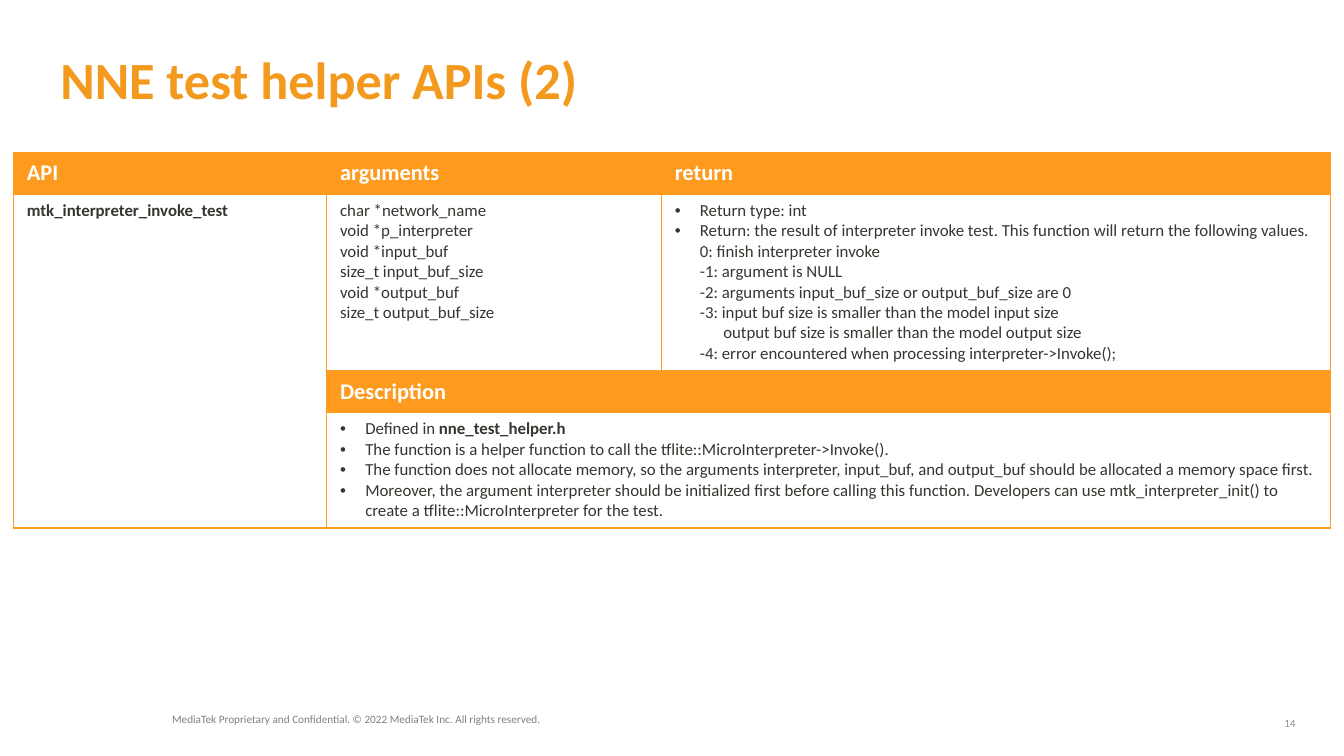
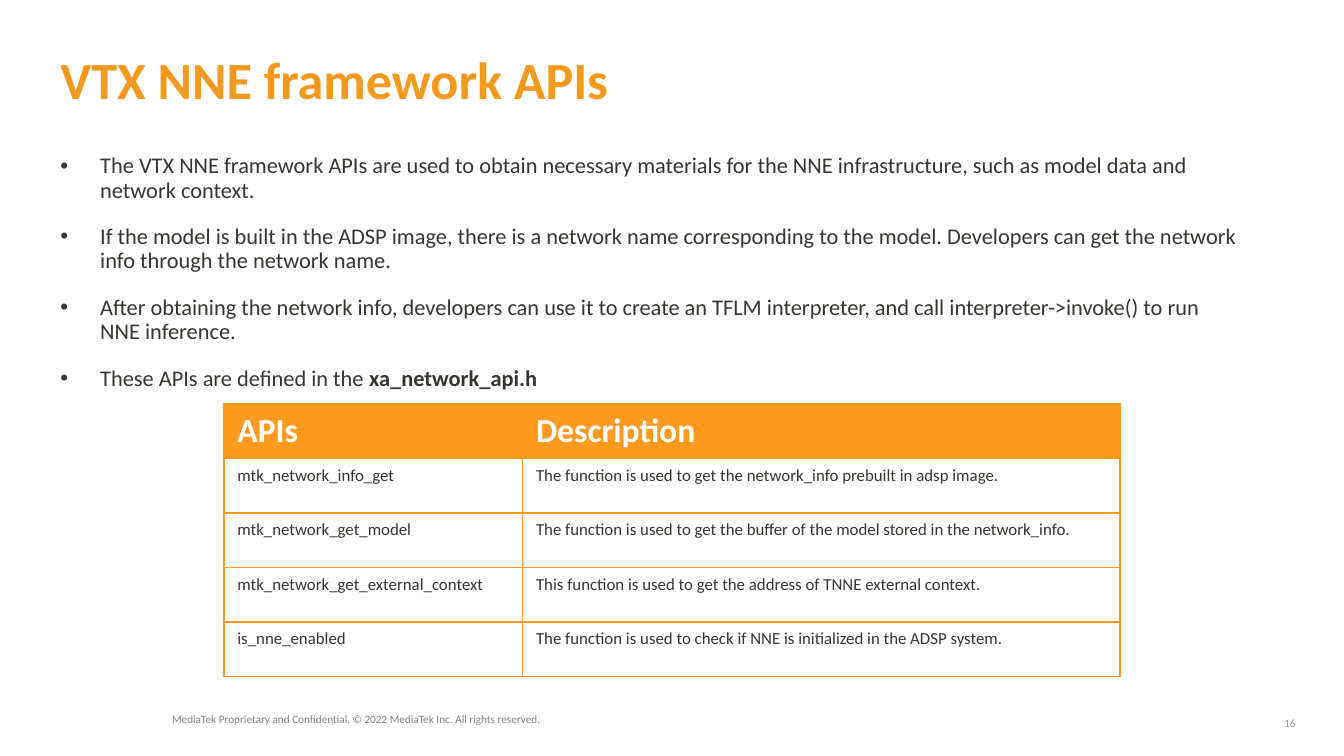
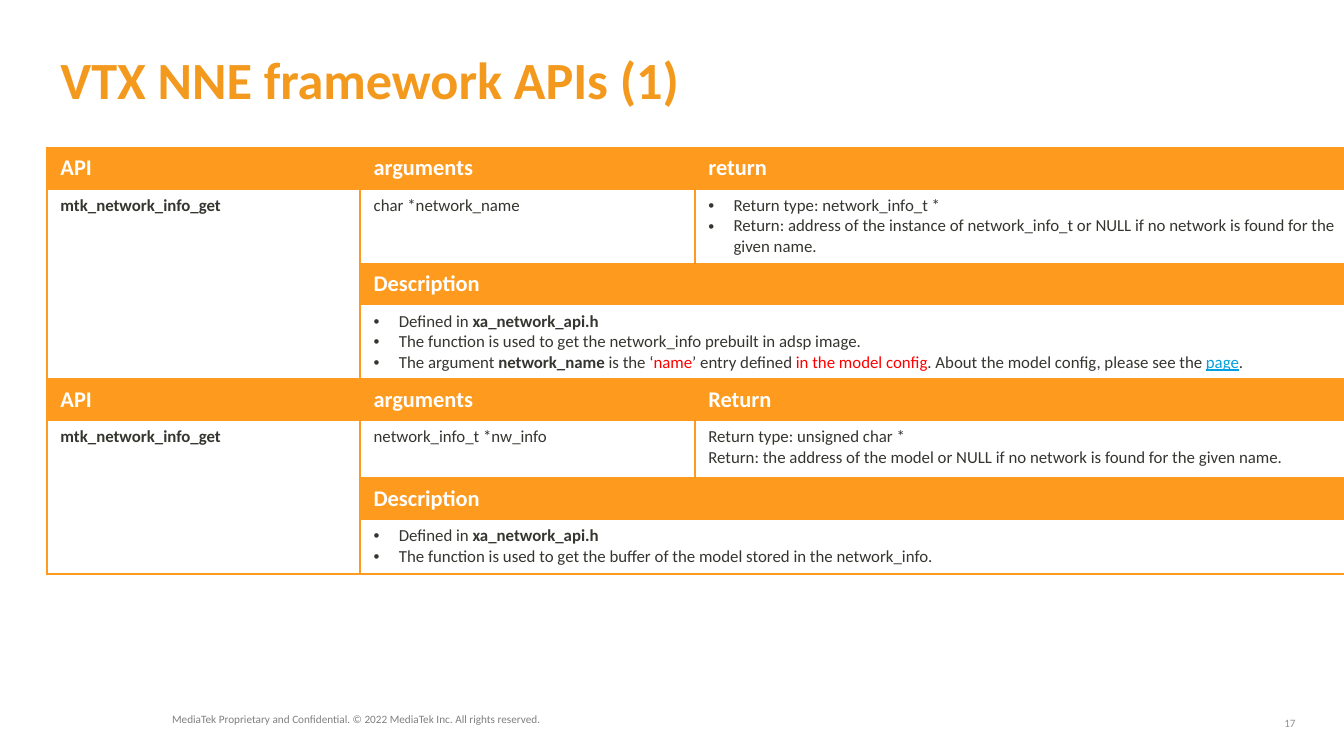
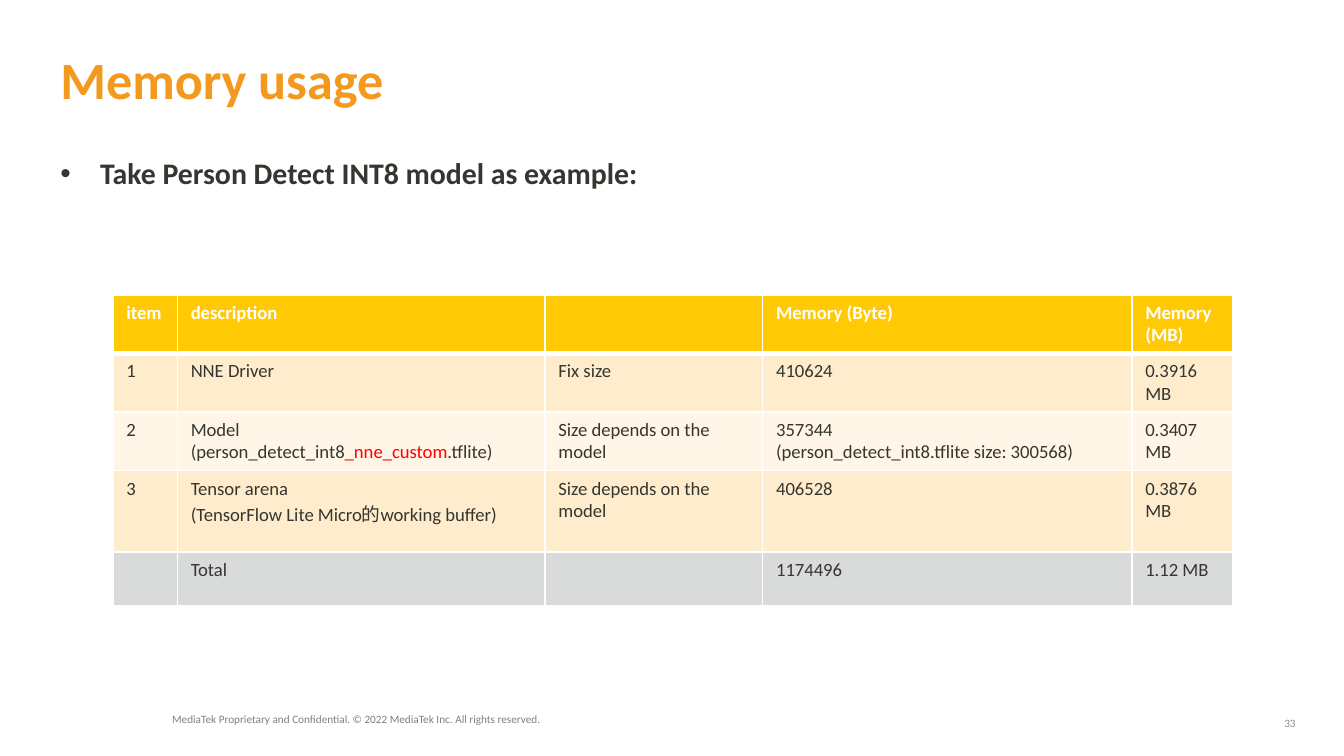
import lxml.etree
import pptx
import pptx.dml.color
import pptx.enum.text
import pptx.oxml.ns
import pptx.util

Pt = pptx.util.Pt
rgb = pptx.dml.color.RGBColor.from_string
qn = pptx.oxml.ns.qn
ALIGN = pptx.enum.text.PP_ALIGN
ANCHOR = pptx.enum.text.MSO_ANCHOR

# Shared look
FONT = "Calibri"
ORANGE, TITLE_ORANGE, YELLOW = "FE9B1E", "F39A1E", "FFCA05"
TEXT, WHITE, RED, LINK = "353630", "FFFFFF", "FF0000", "00A1DE"
PEACH, CREAM, GREY = "FFECCC", "FFF6E7", "D9DBDB"
FOOTER_GREY, NUMBER_GREY = "808080", "90918F"
FOOTER = "MediaTek Proprietary and Confidential. © 2022 MediaTek Inc. All rights reserved."

# Row style: fill, text size, text colour, bold
HEADING = (ORANGE, 12, WHITE, True)
DETAIL = (None, 9, TEXT, False)


def write(frame, lines, size, color, bold=False, indent=13.5, gap=0, spacing=None):
    """Fill a frame; a line is a string or a list of (text, style) runs.

    A leading "• " makes a bullet, "> " a line aligned with the bullet text and
    ">> " a line set in further.
    """
    for number, line in enumerate(lines):
        runs = [(line, "")] if isinstance(line, str) else line
        paragraph = frame.paragraphs[0] if number == 0 else frame.add_paragraph()
        mark, _, rest = runs[0][0].partition(" ")
        if mark in ("•", ">", ">>"):
            runs = [(rest, runs[0][1])] + runs[1:]
            properties = paragraph._p.get_or_add_pPr()
            properties.set("marL", str(Pt(indent + (12.5 if mark == ">>" else 0))))
            properties.set("indent", str(Pt(-indent if mark == "•" else 0)))
            if mark == "•":
                lxml.etree.SubElement(properties, qn("a:buFont"), typeface="Arial")
                lxml.etree.SubElement(properties, qn("a:buChar"), char="•")
        paragraph.space_before = Pt(gap if number else 0)
        if spacing:
            paragraph.line_spacing = spacing
        for text, style in runs:
            run = paragraph.add_run()
            run.text = text
            run.font.name = FONT
            run.font.size = Pt(size)
            run.font.bold = bold or style == "bold"
            run.font.color.rgb = rgb({"red": RED, "link": LINK}.get(style, color))
            if style == "link":
                run.font.underline = True


def draw_table(slide, left, top, widths, heights, styles, rows, border, merges=()):
    """Draw a table whose rows hold strings or lists of lines."""
    table = slide.shapes.add_table(len(rows), len(widths), Pt(left), Pt(top),
                                   Pt(sum(widths)), Pt(sum(heights))).table
    table.first_row = table.horz_banding = False
    for column, width in zip(table.columns, widths):
        column.width = Pt(width)
    for row, height in zip(table.rows, heights):
        row.height = Pt(height)
    for first_row, first_column, last_row, last_column in merges:
        table.cell(first_row, first_column).merge(table.cell(last_row, last_column))
    for r, (row, (fill, size, color, bold)) in enumerate(zip(rows, styles)):
        for c in range(len(widths)):
            cell = table.cell(r, c)
            properties = cell._tc.get_or_add_tcPr()
            for side in ("L", "R", "T", "B"):
                heavy = fill == YELLOW and side == "B"
                line = lxml.etree.SubElement(properties, qn("a:ln" + side),
                                             w=str(Pt(3 if heavy else 1)))
                solid = lxml.etree.SubElement(line, qn("a:solidFill"))
                lxml.etree.SubElement(solid, qn("a:srgbClr"), val=border)
            if fill and not cell.is_spanned:
                cell.fill.solid()
                cell.fill.fore_color.rgb = rgb(fill)
            else:
                cell.fill.background()
            content = row[c] if c < len(row) else ""
            if content:
                lines = [content] if isinstance(content, str) else content
                write(cell.text_frame, lines, size, color, bold)


deck = pptx.Presentation()
deck.slide_width, deck.slide_height = Pt(720), Pt(405)

# Titles, lists and footers: title, page number, list, list top, list size
pages = [
    ("NNE test helper APIs (2)", "14", None, 0, 0),
    ("VTX NNE framework APIs", "16", [
        "• The VTX NNE framework APIs are used to obtain necessary materials for the NNE "
        "infrastructure, such as model data and network context.",
        "• If the model is built in the ADSP image, there is a network name corresponding to "
        "the model. Developers can get the network info through the network name.",
        "• After obtaining the network info, developers can use it to create an TFLM "
        "interpreter, and call interpreter->invoke() to run NNE inference.",
        [("• These APIs are defined in the ", ""), ("xa_network_api.h", "bold")],
    ], 79.2, 12),
    ("VTX NNE framework APIs (1)", "17", None, 0, 0),
    ("Memory usage", "33", [
        [("• Take Person Detect INT8 model as example:", "bold")],
    ], 81.4, 16),
]
slides = []
for heading, page_number, points, points_top, points_size in pages:
    slide = deck.slides.add_slide(deck.slide_layouts[1 if points else 5])
    slides.append(slide)

    title = slide.shapes.title
    title.left, title.top, title.width, title.height = Pt(25.2), Pt(13.7), Pt(647.3), Pt(56.9)
    title.text_frame.auto_size = pptx.enum.text.MSO_AUTO_SIZE.NONE
    title.text_frame.vertical_anchor = ANCHOR.MIDDLE
    write(title.text_frame, [heading], 28, TITLE_ORANGE, bold=True)
    title.text_frame.paragraphs[0].alignment = ALIGN.LEFT

    if points:
        body = slide.placeholders[1]
        body.left, body.top, body.width, body.height = (
            Pt(25.2), Pt(points_top), Pt(647.3), Pt(291.6))
        body.text_frame.auto_size = pptx.enum.text.MSO_AUTO_SIZE.NONE
        write(body.text_frame, points, points_size, TEXT, indent=21.3, gap=12, spacing=0.9)

    for text, left, top, width, height, color, align, anchor in [
        (FOOTER, 92.2, 382.3, 403.9, 14.4, FOOTER_GREY, ALIGN.LEFT, ANCHOR.TOP),
        (page_number, 672.5, 383, 21.6, 8.6, NUMBER_GREY, ALIGN.RIGHT, ANCHOR.MIDDLE),
    ]:
        frame = slide.shapes.add_textbox(Pt(left), Pt(top), Pt(width), Pt(height)).text_frame
        frame.margin_left = frame.margin_top = frame.margin_right = frame.margin_bottom = 0
        frame.word_wrap = True
        frame.vertical_anchor = anchor
        write(frame, [text], 6, color, spacing=0.9 if text == FOOTER else None)
        frame.paragraphs[0].alignment = align

test_helper, framework, network_info, memory = slides

# One API takes four rows: heading, signature, heading, description
API_WIDTHS = [167.8, 179.3, 358.6]
API_STYLES = [HEADING, DETAIL, HEADING, DETAIL]
API_MERGES = [(1, 0, 3, 0), (2, 1, 2, 2), (3, 1, 3, 2)]

# Test helper API
draw_table(test_helper, 7.2, 81.8, API_WIDTHS, [22, 95, 22, 62], API_STYLES, [
    ["API", "arguments", "return"],
    [
        [[("mtk_interpreter_invoke_test", "bold")]],
        ["char *network_name", "void *p_interpreter", "void *input_buf",
         "size_t input_buf_size", "void *output_buf", "size_t output_buf_size"],
        ["• Return type: int",
         "• Return: the result of interpreter invoke test. This function will return the "
         "following values.",
         "> 0: finish interpreter invoke",
         "> -1: argument is NULL",
         "> -2: arguments input_buf_size or output_buf_size are 0",
         "> -3: input buf size is smaller than the model input size",
         ">> output buf size is smaller than the model output size",
         "> -4: error encountered when processing interpreter->Invoke();"],
    ],
    ["", "Description"],
    ["", [
        [("• Defined in ", ""), ("nne_test_helper.h", "bold")],
        "• The function is a helper function to call the tflite::MicroInterpreter->Invoke().",
        "• The function does not allocate memory, so the arguments interpreter, input_buf, and "
        "output_buf should be allocated a memory space first.",
        "• Moreover, the argument interpreter should be initialized first before calling this "
        "function. Developers can use mtk_interpreter_init() to create a "
        "tflite::MicroInterpreter for the test.",
    ]],
], ORANGE, API_MERGES)

# Framework API overview
draw_table(framework, 120, 216.5, [160, 320], [29.2] * 5,
           [(ORANGE, 18, WHITE, True)] + [DETAIL] * 4, [
    ["APIs", "Description"],
    ["mtk_network_info_get",
     "The function is used to get the network_info prebuilt in adsp image."],
    ["mtk_network_get_model",
     "The function is used to get the buffer of the model stored in the network_info."],
    ["mtk_network_get_external_context",
     "This function is used to get the address of TNNE external context."],
    ["is_nne_enabled",
     "The function is used to check if NNE is initialized in the ADSP system."],
], ORANGE)

# Network info APIs
defined_in = [("• Defined in ", ""), ("xa_network_api.h", "bold")]
api_name = [[("mtk_network_info_get", "bold")]]
second_merges = [(top + 4, left, bottom + 4, right) for top, left, bottom, right in API_MERGES]
draw_table(network_info, 25.2, 79.2, API_WIDTHS, [22, 40, 22, 40, 22, 31, 22, 29.5],
           API_STYLES * 2, [
    ["API", "arguments", "return"],
    [api_name, "char *network_name", [
        "• Return type: network_info_t *",
        "• Return: address of the instance of network_info_t or NULL if no network is found "
        "for the given name.",
    ]],
    ["", "Description"],
    ["", [
        defined_in,
        "• The function is used to get the network_info prebuilt in adsp image.",
        [("• The argument ", ""), ("network_name ", "bold"), ("is the ‘", ""), ("name", "red"),
         ("’ entry defined ", ""), ("in the model config", "red"),
         (". About the model config, please see the ", ""), ("page", "link"), (".", "")],
    ]],
    ["API", "arguments", "Return"],
    [api_name, "network_info_t *nw_info", [
        "Return type: unsigned char *",
        "Return: the address of the model or NULL if no network is found for the given name.",
    ]],
    ["", "Description"],
    ["", [
        defined_in,
        "• The function is used to get the buffer of the model stored in the network_info.",
    ]],
], ORANGE, API_MERGES + second_merges)

# Memory usage
memory_styles = [(YELLOW, 10, WHITE, True)]
memory_styles += [(fill, 10, TEXT, False) for fill in (PEACH, CREAM, PEACH, GREY)]
draw_table(memory, 60.5, 157.9, [34.5, 197, 116.6, 197.8, 53.9],
           [30.5, 31.5, 31.5, 43.5, 29], memory_styles, [
    ["item", "description", "", "Memory (Byte)", "Memory (MB)"],
    ["1", "NNE Driver", "Fix size", "410624", "0.3916 MB"],
    ["2",
     [[("Model (person_detect_int8", ""), ("_nne_custom", "red"), (".tflite)", "")]],
     "Size depends on the model",
     ["357344", "(person_detect_int8.tflite size: 300568)"],
     "0.3407 MB"],
    ["3", ["Tensor arena", "(TensorFlow Lite Micro的working buffer)"],
     "Size depends on the model", "406528", "0.3876 MB"],
    ["", "Total", "", "1174496", "1.12 MB"],
], WHITE)

deck.save("out.pptx")
